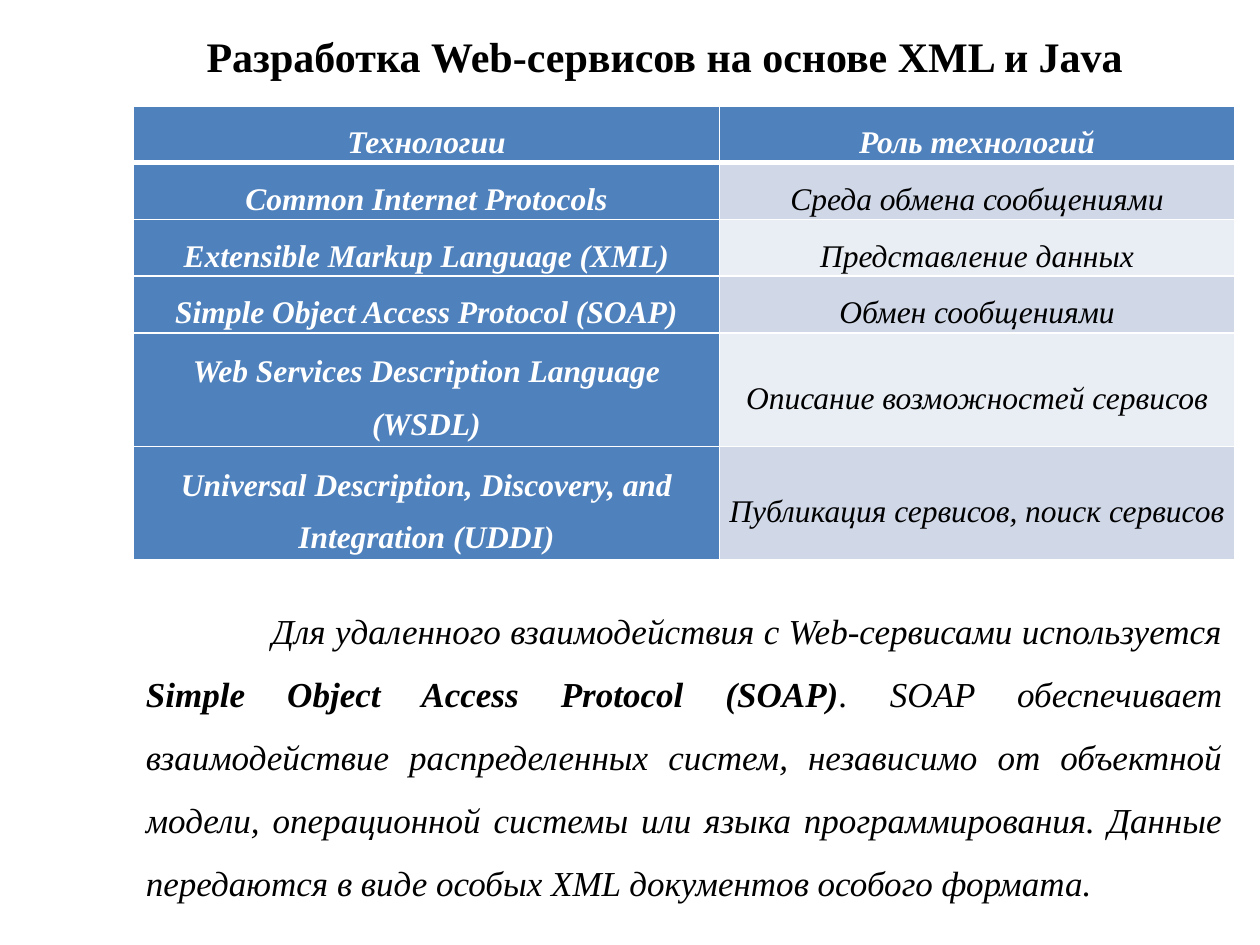
from dataclasses import dataclass

from lxml import etree
from pptx import Presentation
from pptx.dml.color import RGBColor
from pptx.enum.text import MSO_ANCHOR, PP_ALIGN
from pptx.oxml.ns import qn
from pptx.util import Inches, Pt

MIDDLE = MSO_ANCHOR.MIDDLE
CENTER, JUSTIFY = PP_ALIGN.CENTER, PP_ALIGN.JUSTIFY


@dataclass(frozen=True)
class Theme:
    font: str = "Times New Roman"
    black: str = "000000"
    white: str = "FFFFFF"
    blue: str = "4F81BD"
    bands: tuple = ("D0D8E8", "E9EDF4")
    title: int = 24
    cell: int = 18
    body: int = 20
    thin: int = 1
    thick: int = 3


@dataclass(frozen=True)
class Row:
    tech: str
    role: str
    lines: int = 1


@dataclass(frozen=True)
class Part:
    text: str
    bold: bool = False


THEME = Theme()
LINE = 0.415
WIDTHS = (4.65, 4.09)

ROWS = (
    Row("Технологии", "Роль технологий"),
    Row("Common Internet Protocols", "Среда обмена сообщениями"),
    Row("Extensible Markup Language (XML)", "Представление данных"),
    Row("Simple Object Access Protocol (SOAP)", "Обмен сообщениями"),
    Row("Web Services Description Language (WSDL)",
        "Описание возможностей сервисов", 2),
    Row("Universal Description, Discovery, and Integration (UDDI)",
        "Публикация сервисов, поиск сервисов", 2),
)

BODY = (
    Part("Для удаленного взаимодействия с Web-сервисами используется "),
    Part("Simple Object Access Protocol (SOAP)", True),
    Part(". SOAP обеспечивает взаимодействие распределенных систем, "
         "независимо от объектной модели, операционной системы или языка "
         "программирования. Данные передаются в виде особых XML документов "
         "особого формата."),
)


def add_run(para, part: Part, size: int, color: str, italic: bool = True) -> None:
    run = para.add_run()
    run.text = part.text
    font = run.font
    font.name, font.size = THEME.font, Pt(size)
    font.bold, font.italic = part.bold, italic
    font.color.rgb = RGBColor.from_string(color)


def add_box(slide, left: float, top: float, width: float, height: float):
    box = slide.shapes.add_textbox(
        Inches(left), Inches(top), Inches(width), Inches(height))
    box.text_frame.word_wrap = True
    return box.text_frame


def add_edge(cell, side: str, width: int) -> None:
    props = cell._tc.get_or_add_tcPr()
    line = etree.SubElement(props, qn(f"a:ln{side}"), w=str(Pt(width)))
    fill = etree.SubElement(line, qn("a:solidFill"))
    etree.SubElement(fill, qn("a:srgbClr"), val=THEME.white)


def fill_cell(cell, text: str, row: int, col: int) -> None:
    strong = row == 0 or col == 0
    # Borders: a thick rule divides the header from the rows
    edges = {"L": THEME.thin, "R": THEME.thin,
             "T": THEME.thick if row == 1 else THEME.thin,
             "B": THEME.thick if row == 0 else THEME.thin}
    for side, width in edges.items():
        add_edge(cell, side, width)
    cell.fill.solid()
    shade = THEME.blue if strong else THEME.bands[(row - 1) % 2]
    cell.fill.fore_color.rgb = RGBColor.from_string(shade)
    # Text
    cell.vertical_anchor = MIDDLE
    cell.margin_left = cell.margin_right = Inches(0.07)
    cell.margin_top = cell.margin_bottom = 0
    para = cell.text_frame.paragraphs[0]
    para.alignment, para.line_spacing = CENTER, 1.5
    color = THEME.white if strong else THEME.black
    add_run(para, Part(text, strong), THEME.cell, color)


def add_grid(slide) -> None:
    height = LINE * sum(row.lines for row in ROWS)
    grid = slide.shapes.add_table(
        len(ROWS), len(WIDTHS), Inches(1.06), Inches(0.84),
        Inches(sum(WIDTHS)), Inches(height)).table
    for col, width in enumerate(WIDTHS):
        grid.columns[col].width = Inches(width)
    for i, row in enumerate(ROWS):
        grid.rows[i].height = Inches(LINE * row.lines)
        for col, text in enumerate((row.tech, row.role)):
            fill_cell(grid.cell(i, col), text, i, col)


def main() -> None:
    deck = Presentation()
    deck.slide_width, deck.slide_height = Inches(10), Inches(7.5)
    slide = deck.slides.add_slide(deck.slide_layouts[6])

    # Title
    frame = add_box(slide, 1.22, 0.21, 8.11, 0.47)
    frame.vertical_anchor = MIDDLE
    para = frame.paragraphs[0]
    para.alignment = CENTER
    title = Part("Разработка Web-сервисов на основе XML и Java", True)
    add_run(para, title, THEME.title, THEME.black, italic=False)

    # Technologies and their roles
    add_grid(slide)

    # Explanation with an indented first line
    para = add_box(slide, 1.06, 4.62, 8.74, 2.56).paragraphs[0]
    para.alignment, para.line_spacing = JUSTIFY, 1.5
    para._p.get_or_add_pPr().set("indent", str(Inches(1)))
    for part in BODY:
        add_run(para, part, THEME.body, THEME.black)

    deck.save("out.pptx")


if __name__ == "__main__":
    main()
